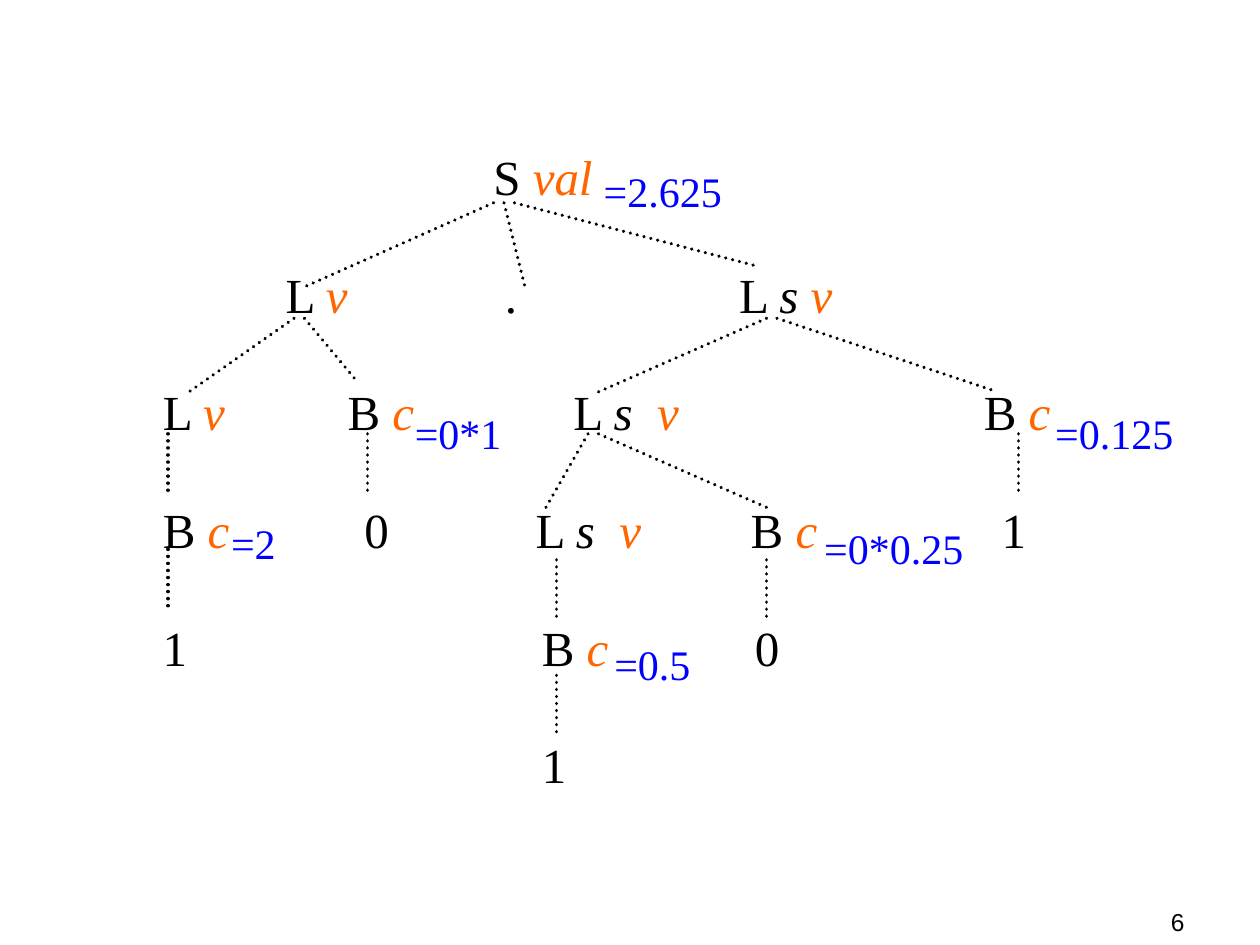
from lxml import etree
from pptx import Presentation
from pptx import util as u
from pptx.dml import color
from pptx.enum import dml, shapes, text
from pptx.oxml import ns

COLORS = {"symbol": "000000", "attribute": "FF6600", "value": "0000FF"}
SERIF, SANS = "Times New Roman", "Arial"


class TreeSlide:
    UNIT = u.Inches(1) / 12
    TOP = u.Inches(1.61)

    def __init__(self, deck):
        self.slide = deck.slides.add_slide(deck.slide_layouts[6])

    def x(self, column):
        return round(column * self.UNIT)

    def y(self, row):
        return round(self.TOP + row * self.UNIT)

    def label(self, column, row, width, parts, size, font=SERIF, align=text.PP_ALIGN.LEFT):
        box = self.slide.shapes.add_textbox(
            self.x(column), self.y(row), self.x(width), u.Pt(size * 1.2))
        frame = box.text_frame
        frame.word_wrap = True
        frame.margin_left = frame.margin_right = 0
        frame.margin_top = frame.margin_bottom = 0
        line = frame.paragraphs[0]
        line.alignment = align
        for words, role, italic in parts:
            run = line.add_run()
            run.text = words
            run.font.name = font
            run.font.size = u.Pt(size)
            run.font.italic = italic
            run.font.color.rgb = color.RGBColor.from_string(COLORS[role])

    def node(self, column, level, symbol="", inherited="", attribute=""):
        parts = [(symbol, "symbol", False), (inherited, "symbol", True),
                 (attribute, "attribute", True)]
        parts = [part for part in parts if part[0]]
        width = 0.6 + 2.1 * sum(len(part[0]) for part in parts)
        self.label(column, -5.35 + level * 11.2, width, parts, 28)

    def value(self, column, row, words):
        self.label(column, row, 0.5 + 2.2 * len(words), [(words, "value", False)], 24)

    def branch(self, x1, y1, x2, y2):
        link = self.slide.shapes.add_connector(
            shapes.MSO_CONNECTOR.STRAIGHT, self.x(x1), self.y(y1), self.x(x2), self.y(y2))
        link.line.width = u.Pt(2)
        link.line.color.rgb = color.RGBColor.from_string(COLORS["symbol"])
        link.line.dash_style = dml.MSO_LINE.ROUND_DOT
        properties = link._element.spPr
        properties.find(ns.qn("a:ln")).set("cap", "rnd")
        etree.SubElement(properties, ns.qn("a:effectLst"))


deck = Presentation()
deck.slide_width, deck.slide_height = u.Inches(10), u.Inches(7.5)
tree = TreeSlide(deck)

levels = [
    [(47, "S ", "", "val")],
    [(27.2, "L ", "", "v"), (48.1, "."), (70.4, "L ", "s ", "v")],
    [(15.5, "L ", "", "v"), (33.1, "B ", "", "c"), (54.6, "L ", "s"),
     (62.6, "", "", "v"), (93.7, "B ", "", "c")],
    [(15.5, "B ", "", "c"), (34.7, "0"), (51, "L ", "s"),
     (59, "", "", "v"), (71.5, "B ", "", "c"), (95.4, "1")],
    [(15.5, "1"), (51.6, "B ", "", "c"), (71.9, "0")],
    [(51.6, "1")],
]
for level, nodes in enumerate(levels):
    for column, *parts in nodes:
        tree.node(column, level, *parts)

branches = [
    (47, 0, 29, 8), (48, 0, 50, 8), (49, 0, 72, 6),
    (28, 11, 18, 18), (29, 11, 34, 17), (73, 11, 57, 18), (74, 11, 95, 18),
    (56, 22, 52, 29), (57, 22, 73, 29),
]
stems = [(16, 22), (35, 22), (97, 22), (16, 33), (53, 34), (73, 34), (53, 45)]
for ends in branches + [(column, row, column, row + 6) for column, row in stems]:
    tree.branch(*ends)

values = [
    (57.5, -3.6, "=2.625"), (39.5, 19.5, "=0*1"), (100.5, 19.5, "=0.125"),
    (22, 30, "=2"), (78.5, 30.4, "=0*0.25"), (58.5, 41.5, "=0.5"),
]
for column, row, words in values:
    tree.value(column, row, words)

tree.label(87.2, 67.1, 25.6, [("6", "symbol", False)], 14, SANS, text.PP_ALIGN.RIGHT)
deck.save("out.pptx")
